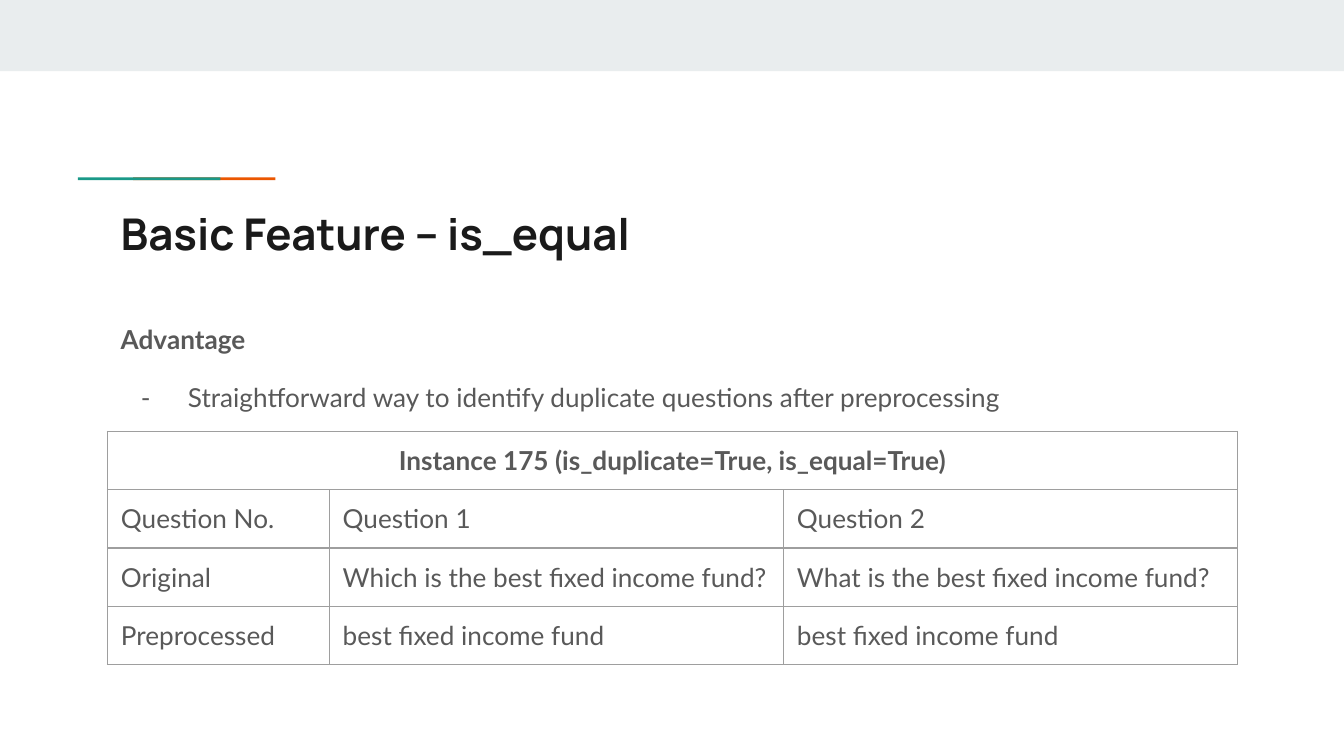
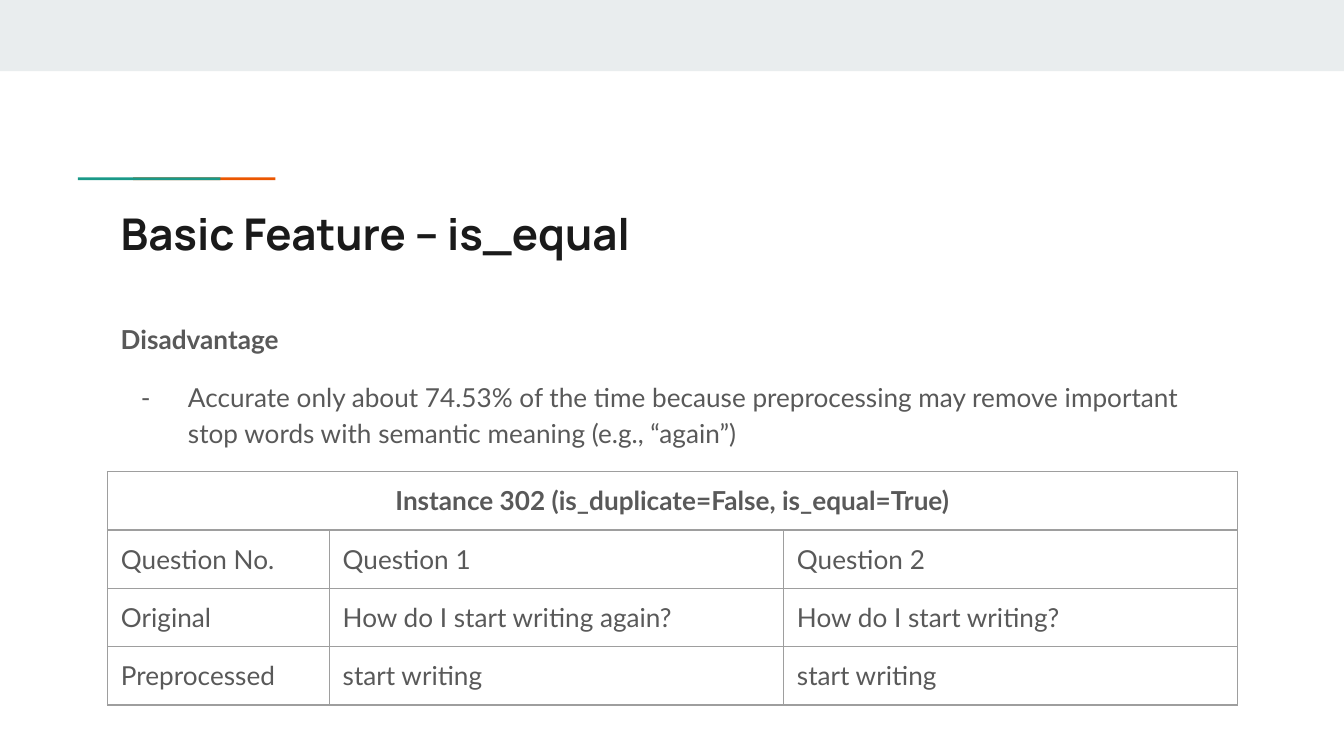
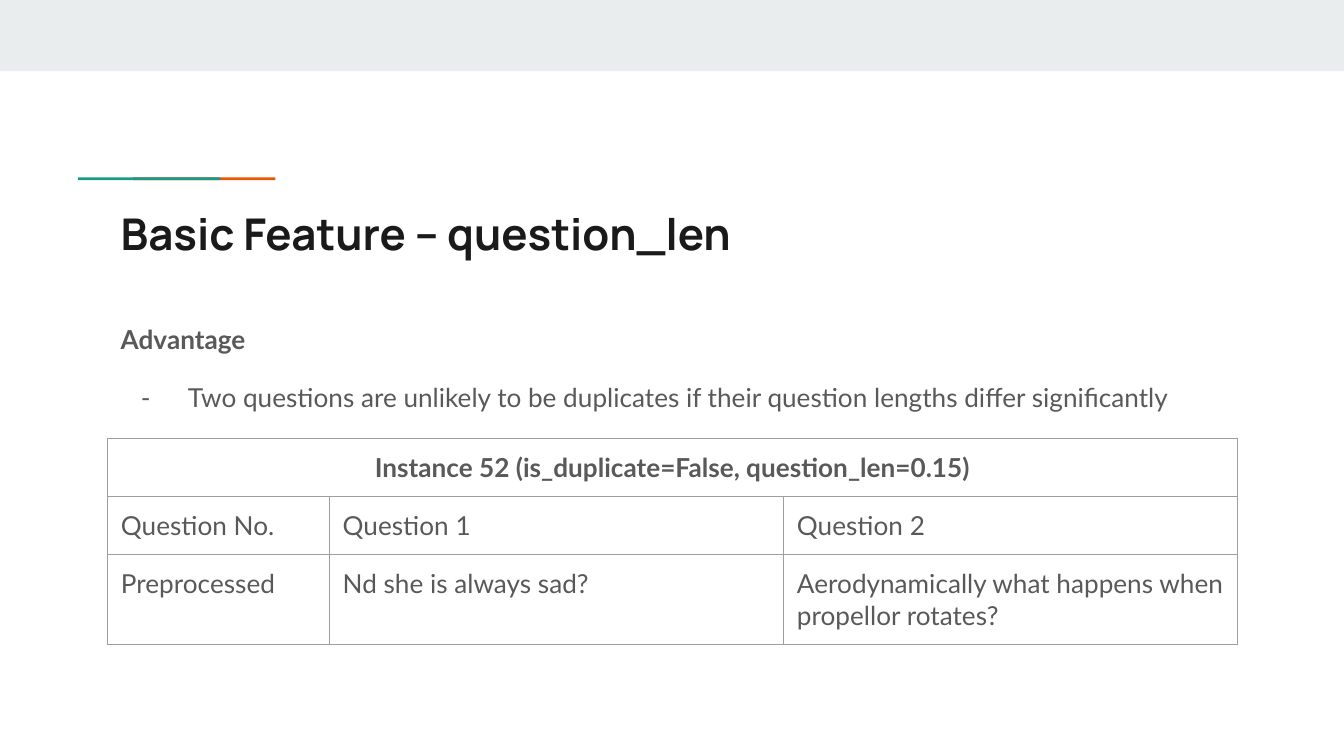
from lxml import etree
from pptx import Presentation
from pptx.dml.color import RGBColor
from pptx.enum.shapes import MSO_SHAPE
from pptx.enum.text import PP_ALIGN
from pptx.oxml.ns import qn
from pptx.util import Inches, Pt

RECTANGLE = MSO_SHAPE.RECTANGLE
LEFT, CENTER = PP_ALIGN.LEFT, PP_ALIGN.CENTER

BAND = RGBColor(0xE9, 0xED, 0xEE)
ORANGE = RGBColor(0xEB, 0x56, 0x00)
TEAL = RGBColor(0x1A, 0x99, 0x88)
INK = RGBColor(0x1A, 0x1A, 0x1A)
GREY = RGBColor(0x59, 0x59, 0x59)
BORDER = RGBColor(0x9E, 0x9E, 0x9E)
TITLE_STYLE = ("Manrope", 23.4, INK)
BODY_STYLE = ("Lato", 14, GREY)

QUESTION_HEADS = ("Question No.", "Question 1", "Question 2")
FEATURES = [
    {
        "title": "Basic Feature – is_equal",
        "verdict": "Advantage",
        "reason": "Straightforward way to identify duplicate questions after preprocessing",
        "body_height": 0.94,
        "instance": "Instance 175 (is_duplicate=True, is_equal=True)",
        "examples": [
            ("Original", "Which is the best fixed income fund?", "What is the best fixed income fund?"),
            ("Preprocessed", "best fixed income fund", "best fixed income fund"),
        ],
    },
    {
        "title": "Basic Feature – is_equal",
        "verdict": "Disadvantage",
        "reason": "Accurate only about 74.53% of the time because preprocessing may remove "
                  "important stop words with semantic meaning (e.g., “again”)",
        "body_height": 1.24,
        "instance": "Instance 302 (is_duplicate=False, is_equal=True)",
        "examples": [
            ("Original", "How do I start writing again?", "How do I start writing?"),
            ("Preprocessed", "start writing", "start writing"),
        ],
    },
    {
        "title": "Basic Feature – question_len",
        "verdict": "Advantage",
        "reason": "Two questions are unlikely to be duplicates if their question lengths differ significantly",
        "body_height": 0.99,
        "instance": "Instance 52 (is_duplicate=False, question_len=0.15)",
        "examples": [
            ("Preprocessed", "Nd she is always sad?", "Aerodynamically what happens when propellor rotates?"),
        ],
    },
]

WIDTH = 10
HEIGHT = WIDTH * 9 / 16
MARGIN = 0.8
COLUMNS = (1.65, 3.38, 3.38)
CONTENT_WIDTH = sum(COLUMNS)
TITLE_TOP, TITLE_HEIGHT = 1.44, 0.59
BODY_TOP = 2.27
ROW_HEIGHT = 0.43
INSET = Inches(0.1)
DECORATIONS = [
    (0, 0, WIDTH, 0.53, BAND),
    (0.99, 1.32, 1.06, 0.02, ORANGE),
    (0.58, 1.32, 1.06, 0.02, TEAL),
]


def style(paragraph, look, bold=False):
    font = paragraph.font
    font.name, size, font.color.rgb = look
    font.size = Pt(size)
    font.bold = bold


def set_insets(holder):
    holder.margin_left = holder.margin_right = INSET
    holder.margin_top = holder.margin_bottom = INSET


def add_decorations(slide):
    for left, top, width, height, colour in DECORATIONS:
        bar = slide.shapes.add_shape(
            RECTANGLE, Inches(left), Inches(top), Inches(width), Inches(height))
        bar.shadow.inherit = False
        bar.fill.solid()
        bar.fill.fore_color.rgb = colour
        bar.line.fill.background()


def add_text(slide, top, height, lines, look):
    frame = slide.shapes.add_textbox(
        Inches(MARGIN), Inches(top), Inches(CONTENT_WIDTH), Inches(height)).text_frame
    frame.word_wrap = True
    set_insets(frame)
    frame.text = "\n".join(lines)
    for index, paragraph in enumerate(frame.paragraphs):
        style(paragraph, look, bold=index == 0)
    return frame.paragraphs


def add_dash(paragraph):
    typeface, size, colour = BODY_STYLE
    properties = paragraph._p.get_or_add_pPr()
    properties.set("marL", str(Inches(0.5)))
    properties.set("indent", str(Inches(-0.35)))
    tint = etree.Element(qn("a:buClr"))
    etree.SubElement(tint, qn("a:srgbClr"), val=str(colour))
    parts = [
        tint,
        etree.Element(qn("a:buSzPts"), val=str(size * 100)),
        etree.Element(qn("a:buFont"), typeface=typeface),
        etree.Element(qn("a:buChar"), char="-"),
    ]
    for part in parts:
        properties.find(qn("a:defRPr")).addprevious(part)


def add_borders(cell):
    properties = cell._tc.get_or_add_tcPr()
    for index, side in enumerate(("lnL", "lnR", "lnT", "lnB")):
        line = etree.Element(qn("a:" + side), w=str(Pt(0.75)))
        fill = etree.SubElement(line, qn("a:solidFill"))
        etree.SubElement(fill, qn("a:srgbClr"), val=str(BORDER))
        properties.insert(index, line)


def add_examples(slide, top, instance, examples):
    rows = [(instance, "", ""), QUESTION_HEADS, *examples]
    table = slide.shapes.add_table(
        len(rows), len(COLUMNS), Inches(MARGIN), Inches(top),
        Inches(CONTENT_WIDTH), Inches(ROW_HEIGHT * len(rows))).table
    table.first_row = table.horz_banding = False
    for column, width in zip(table.columns, COLUMNS):
        column.width = Inches(width)
    for r, row in enumerate(rows):
        table.rows[r].height = Inches(ROW_HEIGHT)
        for c, words in enumerate(row):
            cell = table.cell(r, c)
            cell.text = words
            set_insets(cell)
            cell.fill.background()
            add_borders(cell)
            paragraph = cell.text_frame.paragraphs[0]
            paragraph.alignment = CENTER if r == 0 else LEFT
            style(paragraph, BODY_STYLE, bold=r == 0)
    table.cell(0, 0).merge(table.cell(0, len(COLUMNS) - 1))


def add_feature(deck, feature):
    slide = deck.slides.add_slide(deck.slide_layouts[6])
    add_decorations(slide)
    add_text(slide, TITLE_TOP, TITLE_HEIGHT, [feature["title"]], TITLE_STYLE)
    verdict, reason = add_text(
        slide, BODY_TOP, feature["body_height"],
        [feature["verdict"], feature["reason"]], BODY_STYLE)
    verdict.line_spacing = reason.line_spacing = 1.15
    reason.space_before = Pt(12)
    add_dash(reason)
    add_examples(slide, BODY_TOP + feature["body_height"],
                 feature["instance"], feature["examples"])


def main():
    deck = Presentation()
    deck.slide_width, deck.slide_height = Inches(WIDTH), Inches(HEIGHT)
    for feature in FEATURES:
        add_feature(deck, feature)
    deck.save("out.pptx")


if __name__ == "__main__":
    main()
